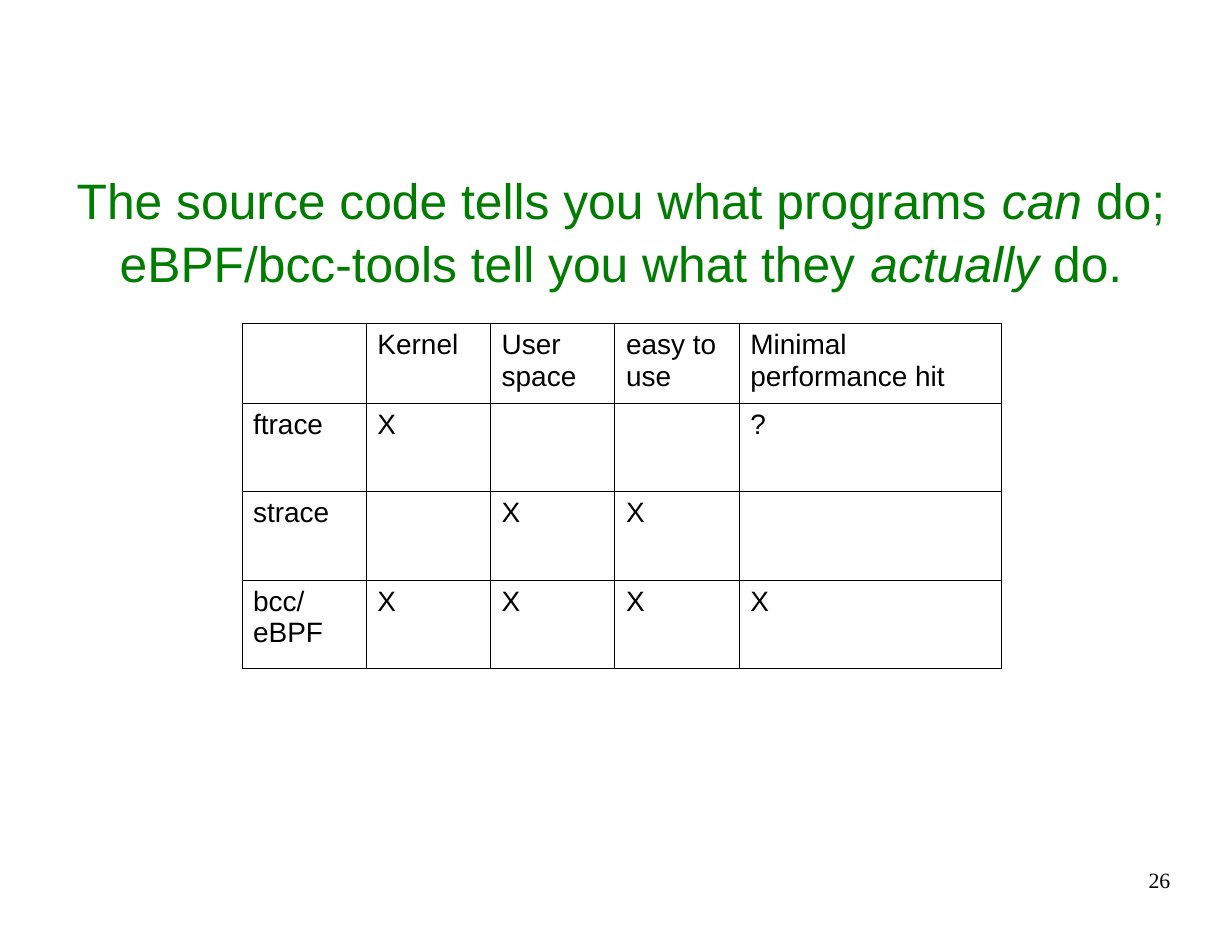
from dataclasses import dataclass

from lxml import etree
from pptx import Presentation
from pptx.dml.color import RGBColor
from pptx.enum.text import MSO_ANCHOR, MSO_AUTO_SIZE, PP_ALIGN
from pptx.oxml.ns import qn
from pptx.util import Inches, Pt

CENTER, RIGHT = PP_ALIGN.CENTER, PP_ALIGN.RIGHT
MIDDLE = MSO_ANCHOR.MIDDLE
NO_FIT = MSO_AUTO_SIZE.NONE
TITLE_ONLY = 5


@dataclass(frozen=True)
class Theme:
    sans: str = "Arial"
    serif: str = "Times New Roman"
    green: str = "007C00"
    black: str = "000000"
    title: int = 32
    body: int = 18
    small: int = 14
    rule: float = 0.57


theme = Theme()


def style(font, face, size, color):
    font.name, font.size = face, Pt(size)
    font.color.rgb = RGBColor.from_string(color)


def add_rules(cell):
    """Draw a thin line on all four sides of a table cell."""
    props = cell._tc.get_or_add_tcPr()
    for spot, side in enumerate(("a:lnL", "a:lnR", "a:lnT", "a:lnB")):
        line = etree.Element(qn(side), w=str(Pt(theme.rule)))
        fill = etree.SubElement(line, qn("a:solidFill"))
        etree.SubElement(fill, qn("a:srgbClr"), val=theme.black)
        props.insert(spot, line)


deck = Presentation()
deck.slide_width, deck.slide_height = Inches(11), Inches(8.5)
slide = deck.slides.add_slide(deck.slide_layouts[TITLE_ONLY])

# Title
title = slide.shapes.title
title.left, title.top = Inches(0.58), Inches(1.12)
title.width, title.height = Inches(9.93), Inches(1.86)
frame = title.text_frame
frame.word_wrap, frame.auto_size = True, NO_FIT
frame.vertical_anchor = MIDDLE
frame.margin_left = frame.margin_right = frame.margin_top = frame.margin_bottom = 0
para = frame.paragraphs[0]
para.alignment, para.line_spacing = CENTER, 1.05
parts = [
    ("The source code tells you what programs ", False),
    ("can", True),
    (" do; eBPF/bcc-tools tell you what they ", False),
    ("actually", True),
    (" do.", False),
]
for text, slant in parts:
    run = para.add_run()
    run.text = text
    style(run.font, theme.sans, theme.title, theme.green)
    run.font.italic = slant

# Tool comparison
rows = [
    ["", "Kernel", "User\nspace", "easy to use", "Minimal performance hit"],
    ["ftrace", "X", "", "", "?"],
    ["strace", "", "X", "X", ""],
    ["bcc/eBPF", "X", "X", "X", "X"],
]
widths = [1.11] * 4 + [2.34]
heights = [0.71] + [0.79] * 3
table = slide.shapes.add_table(
    len(rows), len(widths), Inches(2.16), Inches(2.89),
    Inches(sum(widths)), Inches(sum(heights)),
).table
table.first_row = table.horz_banding = False
for col, width in zip(table.columns, widths):
    col.width = Inches(width)
for row, height, texts in zip(table.rows, heights, rows):
    row.height = Inches(height)
    for cell, text in zip(row.cells, texts):
        cell.fill.background()
        add_rules(cell)
        cell.text_frame.text = text
        for para in cell.text_frame.paragraphs:
            style(para.font, theme.sans, theme.body, theme.black)
            for run in para.runs:
                style(run.font, theme.sans, theme.body, theme.black)

# Page number
page = slide.shapes.add_textbox(Inches(7.89), Inches(7.74), Inches(2.56), Inches(0.59))
frame = page.text_frame
frame.word_wrap = True
frame.margin_left = frame.margin_right = frame.margin_top = frame.margin_bottom = 0
frame.text = "26"
para = frame.paragraphs[0]
para.alignment = RIGHT
style(para.runs[0].font, theme.serif, theme.small, theme.black)

deck.save("out.pptx")
